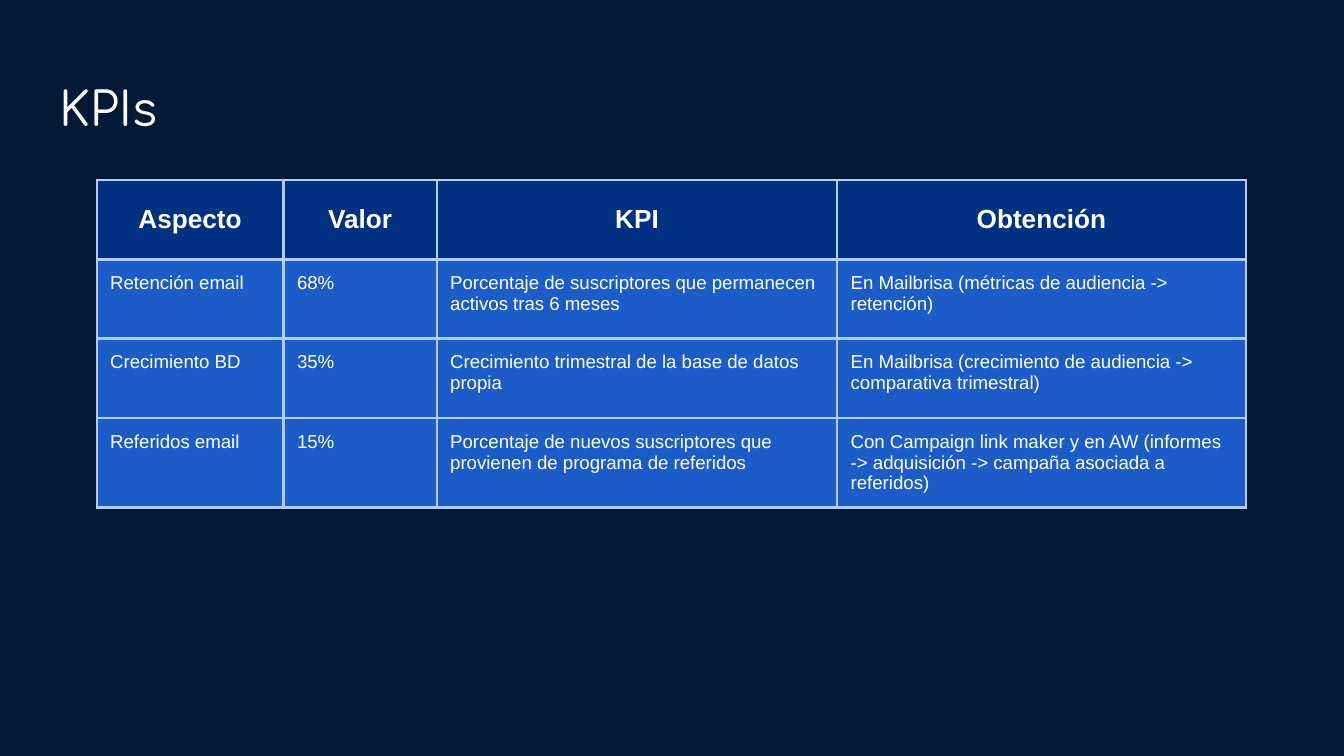
from lxml.etree import SubElement
from pptx import Presentation
from pptx.dml.color import RGBColor
from pptx.enum.text import MSO_ANCHOR, MSO_AUTO_SIZE, PP_ALIGN
from pptx.oxml.ns import qn
from pptx.util import Inches, Pt

COLORS = {
    "background": "041938",
    "text": "FFFFFF",
    "header": "013180",
    "body": "1B5CC8",
    "border": "B1CCF9",
}
TITLE_FONT = {"name": "Comfortaa", "size": Pt(25.2), "bold": False}
HEADER_FONT = {"name": "Arial", "size": Pt(14), "bold": True}
BODY_FONT = {"name": "Arial", "size": Pt(10), "bold": False}

COLUMN_WIDTHS = [1.39, 1.14, 2.98, 3.04]
ROW_HEIGHT = 0.59
ROWS = [
    ["Aspecto", "Valor", "KPI", "Obtención"],
    ["Retención email", "68%",
     "Porcentaje de suscriptores que permanecen activos tras 6 meses",
     "En Mailbrisa (métricas de audiencia -> retención)"],
    ["Crecimiento BD", "35%",
     "Crecimiento trimestral de la base de datos propia",
     "En Mailbrisa (crecimiento de audiencia -> comparativa trimestral)"],
    ["Referidos email", "15%",
     "Porcentaje de nuevos suscriptores que provienen de programa de referidos",
     "Con Campaign link maker y en AW (informes -> adquisición -> "
     "campaña asociada a referidos)"],
]


def color(name):
    return RGBColor.from_string(COLORS[name])


def set_margins(target):
    for side in ("left", "top", "right", "bottom"):
        setattr(target, f"margin_{side}", Inches(0.1))


def write_text(text_frame, text, font_format, alignment):
    text_frame.text = text
    paragraph = text_frame.paragraphs[0]
    paragraph.alignment = alignment
    font = paragraph.runs[0].font
    for attribute, value in font_format.items():
        setattr(font, attribute, value)
    font.color.rgb = color("text")


def set_background(slide):
    fill = slide.background.fill
    fill.solid()
    fill.fore_color.rgb = color("background")


def place_title(slide, text):
    title = slide.shapes.title
    title.left, title.top = Inches(0.34), Inches(0.49)
    title.width, title.height = Inches(9.32), Inches(0.63)
    text_frame = title.text_frame
    text_frame.auto_size = MSO_AUTO_SIZE.NONE
    text_frame.vertical_anchor = MSO_ANCHOR.TOP
    set_margins(text_frame)
    write_text(text_frame, text, TITLE_FONT, PP_ALIGN.LEFT)


def add_borders(cell):
    properties = cell._tc.get_or_add_tcPr()
    # Border lines must come before the fill in the cell properties
    for index, tag in enumerate(("a:lnL", "a:lnR", "a:lnT", "a:lnB")):
        line = SubElement(properties, qn(tag), w=str(Pt(1.5)))
        solid_fill = SubElement(line, qn("a:solidFill"))
        SubElement(solid_fill, qn("a:srgbClr"), val=COLORS["border"])
        properties.insert(index, line)


def format_cell(cell, text, is_header):
    set_margins(cell)
    cell.vertical_anchor = MSO_ANCHOR.MIDDLE if is_header else MSO_ANCHOR.TOP
    cell.fill.solid()
    cell.fill.fore_color.rgb = color("header" if is_header else "body")
    write_text(cell.text_frame, text,
               HEADER_FONT if is_header else BODY_FONT,
               PP_ALIGN.CENTER if is_header else PP_ALIGN.LEFT)
    add_borders(cell)


def add_kpi_table(slide):
    table = slide.shapes.add_table(
        len(ROWS), len(COLUMN_WIDTHS), Inches(0.72), Inches(1.34),
        Inches(sum(COLUMN_WIDTHS)), Inches(ROW_HEIGHT * len(ROWS))).table
    table.horz_banding = False
    for column, width in zip(table.columns, COLUMN_WIDTHS):
        column.width = Inches(width)
    for row_index, texts in enumerate(ROWS):
        table.rows[row_index].height = Inches(ROW_HEIGHT)
        for column_index, text in enumerate(texts):
            format_cell(table.cell(row_index, column_index), text,
                        is_header=row_index == 0)


def main():
    presentation = Presentation()
    # Widescreen, 16:9
    presentation.slide_width = Inches(10)
    presentation.slide_height = Inches(10 * 9 / 16)
    slide = presentation.slides.add_slide(presentation.slide_layouts[5])

    set_background(slide)
    place_title(slide, "KPIs")
    add_kpi_table(slide)

    presentation.save("out.pptx")


if __name__ == "__main__":
    main()
